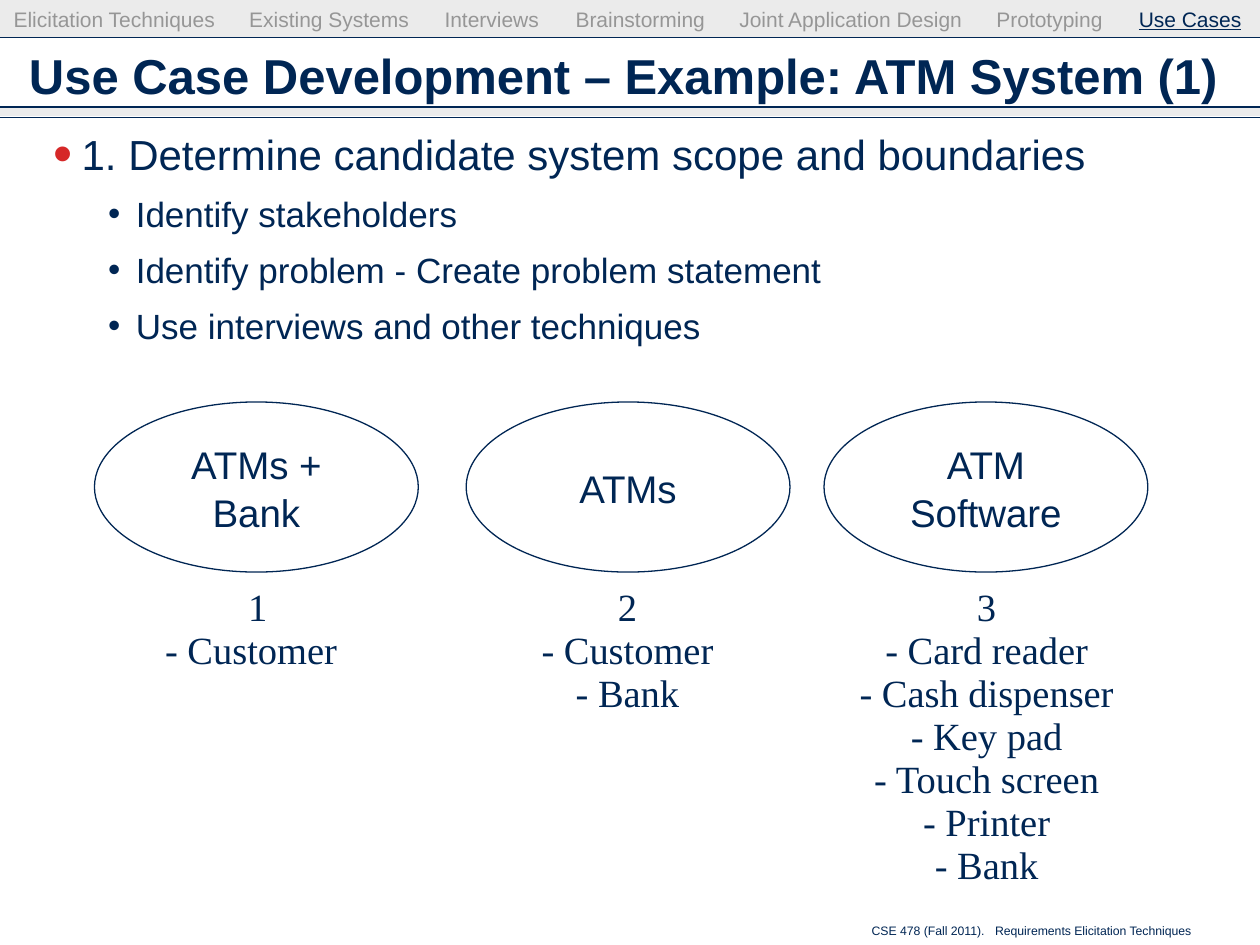
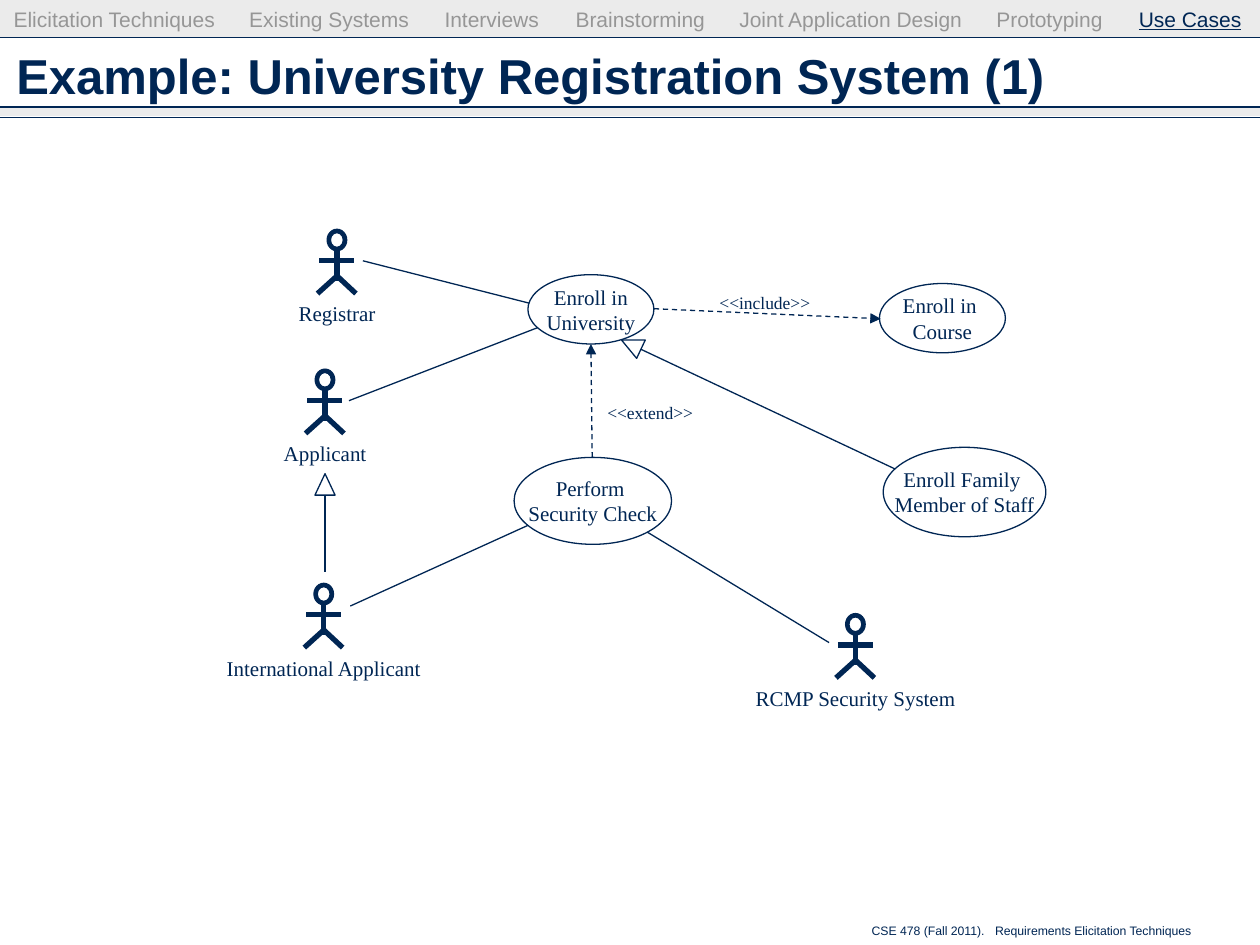
import lxml.etree
import pptx
import pptx.dml.color
import pptx.enum.dml
import pptx.enum.shapes
import pptx.enum.text
import pptx.oxml.ns
import pptx.util

WIDTH, HEIGHT = pptx.util.Inches(10), pptx.util.Inches(7.5)
COLUMN, ROW = WIDTH / 100, HEIGHT / 75
NAVY, GREY, BAND, RED, WHITE = "002654", "969696", "CDCDCD", "D62828", "FFFFFF"
SANS, SERIF = "Arial", "Times New Roman"
TOPICS = ["Elicitation Techniques", "Existing Systems", "Interviews", "Brainstorming",
          "Joint Application Design", "Prototyping"]
TOPIC_STOPS = [18.7, 34.2, 44.6, 57.6, 78, 89.3]
FOOTER = "CSE 478 (Fall 2011).\tRequirements Elicitation Techniques"

SHAPES = pptx.enum.shapes.MSO_SHAPE
LEFT, CENTER = pptx.enum.text.PP_ALIGN.LEFT, pptx.enum.text.PP_ALIGN.CENTER
TOP, MIDDLE = pptx.enum.text.MSO_ANCHOR.TOP, pptx.enum.text.MSO_ANCHOR.MIDDLE


def color(value):
    return pptx.dml.color.RGBColor.from_string(value)


def cells(*values):
    return [round(value * (ROW if index % 2 else COLUMN)) for index, value in enumerate(values)]


def apply(target, formats):
    for name, value in formats.items():
        setattr(target, name, value)


def add_xml(parent, tag, **attributes):
    return lxml.etree.SubElement(parent, pptx.oxml.ns.qn(tag), attributes)


def set_frame(frame, margins=(1, 0.5, 1, 0.5), wrap=False, anchor=TOP):
    sides = ("margin_left", "margin_top", "margin_right", "margin_bottom")
    apply(frame, dict(zip(sides, cells(*margins))))
    apply(frame, {"auto_size": pptx.enum.text.MSO_AUTO_SIZE.NONE,
                  "word_wrap": wrap, "vertical_anchor": anchor})


def add_span(para, text, size, font=SANS, ink=NAVY, **formats):
    span = para.add_run()
    span.text = text
    apply(span.font, {"size": pptx.util.Pt(size), "name": font, **formats})
    span.font.color.rgb = color(ink)


def write_lines(frame, text, size, font, align=CENTER, spacing=None):
    for index, line in enumerate(text.split("\n")):
        para = frame.paragraphs[0] if index == 0 else frame.add_paragraph()
        apply(para, {"alignment": align, "line_spacing": spacing})
        add_span(para, line, size, font)


def add_text(page, at, **frame_formats):
    box = page.shapes.add_textbox(*cells(*at))
    set_frame(box.text_frame, **frame_formats)
    return box.text_frame


def add_label(page, at, text, size=12):
    write_lines(add_text(page, at), text, size, SERIF)


def set_tabs(para, stops):
    tabs = add_xml(para._p.get_or_add_pPr(), "a:tabLst")
    for stop in stops:
        add_xml(tabs, "a:tab", pos=str(cells(stop)[0]), algn="l")


def add_shape(page, kind, at, fill=None, line=NAVY, rotation=0):
    shape = page.shapes.add_shape(kind, *cells(*at))
    shape.shadow.inherit = False
    shape.rotation = rotation
    for paint, ink in ((shape.fill, fill), (shape.line.fill, line)):
        if ink:
            paint.solid()
            paint.fore_color.rgb = color(ink)
        else:
            paint.background()
    if line:
        shape.line.width = pptx.util.Pt(0.75)
    return shape


def add_line(page, *ends, weight=0.75, dashed_arrow=False):
    line = page.shapes.add_connector(pptx.enum.shapes.MSO_CONNECTOR.STRAIGHT, *cells(*ends))
    line.line.color.rgb = color(NAVY)
    line.line.width = pptx.util.Pt(weight)
    if dashed_arrow:
        line.line.dash_style = pptx.enum.dml.MSO_LINE.DASH
        add_xml(line.line._get_or_add_ln(), "a:tailEnd", type="triangle")
    add_xml(line._element.spPr, "a:effectLst")


def add_band(page, top, height):
    band = add_shape(page, SHAPES.RECTANGLE, (0, top, 100, height), BAND, None)
    tint = next(band._element.spPr.iter(pptx.oxml.ns.qn("a:srgbClr")))
    add_xml(tint, "a:alpha", val="40000")


def add_navigation(page):
    frame = add_text(page, (0.1, 0.5, 99.7, 2.5), margins=(1, 0, 0, 0.5), wrap=True)
    para = frame.paragraphs[0]
    set_tabs(para, TOPIC_STOPS)
    add_span(para, "\t".join(TOPICS) + "\t", 12, ink=GREY)
    add_span(para, "Use Cases", 12, underline=True)


def add_page(deck, title, margins):
    page = deck.slides.add_slide(deck.slide_layouts[5])
    heading = page.shapes.title
    apply(heading, dict(zip(("left", "top", "width", "height"), cells(1.3, 2.6, 97.4, 6.7))))
    set_frame(heading.text_frame, margins, wrap=True, anchor=MIDDLE)
    para = heading.text_frame.paragraphs[0]
    para.alignment = LEFT
    add_span(para, title, 28, bold=True)

    add_band(page, 0, 3)
    add_band(page, 8.5, 0.7)
    for level in (3, 8.5, 9.3):
        add_line(page, 0, level, 100, level)
    add_navigation(page)
    footer = add_text(page, (68.2, 72.8, 29, 2.2), wrap=True).paragraphs[0]
    set_tabs(footer, [9.8])
    add_span(footer, FOOTER, 7)
    return page


def add_bullets(page, at, items):
    frame = add_text(page, at, wrap=True)
    for index, (text, indent, size, ink, scale) in enumerate(items):
        para = frame.paragraphs[0] if index == 0 else frame.add_paragraph()
        apply(para, {"line_spacing": pptx.util.Pt(26),
                     "space_before": pptx.util.Pt(6 if index else 0)})
        props = para._p.get_or_add_pPr()
        props.set("marL", str(cells(indent)[0]))
        props.set("indent", str(cells(-2.2)[0]))
        add_xml(add_xml(props, "a:buClr"), "a:srgbClr", val=ink)
        add_xml(props, "a:buSzPct", val=str(scale * 1000))
        add_xml(props, "a:buFont", typeface=SANS)
        add_xml(props, "a:buChar", char="•")
        add_span(para, text, size)


def add_scope(page, left, name, number, actors, list_left, list_width, actor_align=CENTER):
    margins = (0.9, 0.4, 0.9, 0.4)
    oval = add_shape(page, SHAPES.OVAL, (left, 31.9, 25.7, 13.5))
    set_frame(oval.text_frame, margins, wrap=True, anchor=MIDDLE)
    write_lines(oval.text_frame, name, 22, SANS, spacing=1.04)
    frame = add_text(page, (list_left, 46.2, list_width, 24.3), margins=margins,
                     wrap=actor_align == LEFT)
    write_lines(frame, "\n".join([number] + [f"- {actor}" for actor in actors]),
                22, SERIF, spacing=0.93)
    for para in frame.paragraphs[1:]:
        para.alignment = actor_align


def add_use_case(page, at, name):
    oval = add_shape(page, SHAPES.OVAL, at, WHITE)
    set_frame(oval.text_frame, anchor=MIDDLE)
    write_lines(oval.text_frame, name, 12, SERIF)


def add_actor(page, center, top, name, label_width):
    head = add_shape(page, SHAPES.DONUT, (center - 0.78, top, 1.55, 1.7), NAVY)
    head.adjustments[0] = 0.17
    limbs = [(0, 1.7, 0, 4.1), (-1.4, 2.5, 1.35, 2.5), (-1.55, 5.1, 0, 3.7), (1.5, 5.1, 0, 3.7)]
    for x1, y1, x2, y2 in limbs:
        add_line(page, center + x1, top + y1, center + x2, top + y2, weight=3)
    add_label(page, (center - label_width / 2, top + 5.2, label_width, 3), name)


def build_atm(deck):
    page = add_page(deck, "Use Case Development – Example: ATM System (1)", (1, 0.5, 1, 0.5))
    steps = ["Identify stakeholders", "Identify problem - Create problem statement",
             "Use interviews and other techniques"]
    add_bullets(page, (1.3, 10.1, 97.4, 20),
                [("1. Determine candidate system scope and boundaries", 4.2, 24, RED, 130)]
                + [(step, 8.5, 20, NAVY, 100) for step in steps])
    add_scope(page, 7.5, "ATMs + Bank", "1", ["Customer"], 12.2, 16.5, LEFT)
    add_scope(page, 37, "ATMs", "2", ["Customer", "Bank"], 42.1, 15.4)
    add_scope(page, 65.4, "ATM Software", "3",
              ["Card reader", "Cash dispenser", "Key pad", "Touch screen", "Printer", "Bank"],
              67.4, 21.8)


def build_registration(deck):
    page = add_page(deck, "Example: University Registration System (1)", (0, 0, 0, 0))
    associations = [(50, 41.4, 65.8, 51), (50.4, 27.5, 74.6, 38.9), (44.5, 24.7, 28.8, 20.7),
                    (46.3, 39.7, 27.8, 48.1), (46.3, 24.6, 27.7, 31.8), (25.8, 38.7, 25.8, 45.4)]
    for ends in associations:
        add_line(page, *ends)
    for left, top, rotation in [(49.3, 26.5, 295.2), (25, 37.6, 0)]:
        add_shape(page, SHAPES.ISOSCELES_TRIANGLE, (left, top, 1.6, 1.7), WHITE,
                  rotation=rotation)

    use_cases = [((40.8, 36.3, 12.5, 6.9), "Perform \nSecurity Check"),
                 ((41.9, 21.8, 10, 5.5), "Enroll in\nUniversity"),
                 ((69.8, 22.5, 10, 5.5), "Enroll in \nCourse"),
                 ((70.1, 35.5, 12.9, 7.1), "Enroll Family \nMember of Staff")]
    for at, name in use_cases:
        add_use_case(page, at, name)

    add_line(page, 51.9, 24.5, 69.9, 25.3, dashed_arrow=True)
    add_line(page, 47, 36.3, 46.9, 27.3, dashed_arrow=True)
    add_label(page, (56.1, 22.7, 9.2, 2.7), "<<include>>", 10)
    add_label(page, (47.2, 31.4, 8.8, 2.7), "<<extend>>", 10)

    actors = [(26.75, 18.2, "Registrar", 8.1), (25.8, 29.3, "Applicant", 8.5),
              (25.7, 46.3, "International Applicant", 17.5),
              (67.9, 48.7, "RCMP Security System", 17.9)]
    for actor in actors:
        add_actor(page, *actor)


def main():
    deck = pptx.Presentation()
    deck.slide_width, deck.slide_height = WIDTH, HEIGHT
    build_atm(deck)
    build_registration(deck)
    deck.save("out.pptx")


if __name__ == "__main__":
    main()
